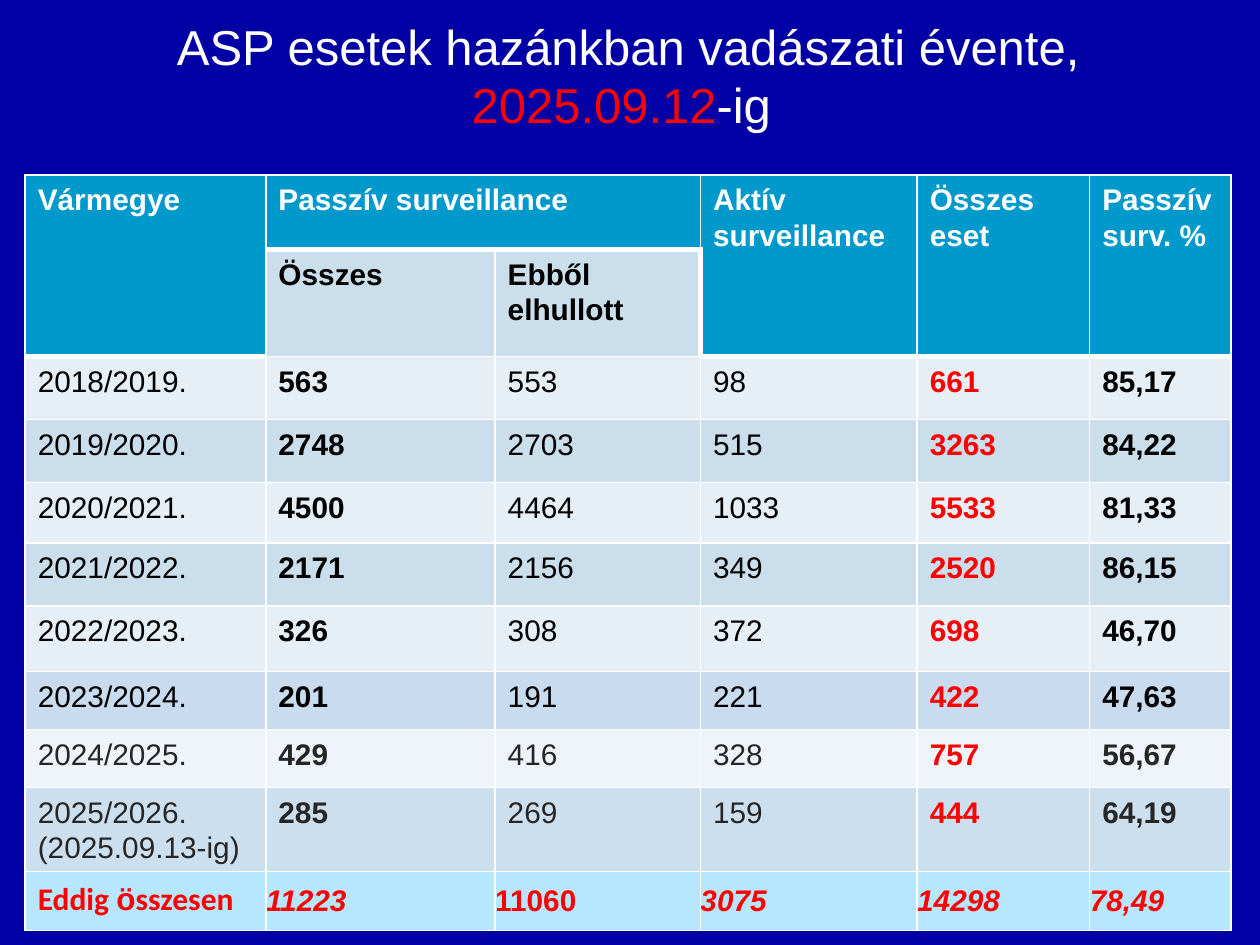
from dataclasses import dataclass

from lxml.etree import SubElement
from pptx import Presentation
from pptx.dml.color import RGBColor
from pptx.enum.text import MSO_ANCHOR, MSO_AUTO_SIZE, PP_ALIGN
from pptx.oxml.ns import qn
from pptx.util import Inches, Pt

WHITE, BLACK, RED, DARK = "FFFFFF", "000000", "FF0000", "262626"
HEAD, PALE, MID, TOTAL = "0099CC", "E7EFF6", "CBDEEC", "B7E7FF"
COL_WIDTHS = [1.91, 1.82, 1.63, 1.72, 1.37, 1.12]
ROW_HEIGHTS = [0.59, 0.85, 0.5, 0.5, 0.48, 0.5, 0.52, 0.46, 0.46, 0.46, 0.47]


@dataclass
class Header:
    text: str
    row: int
    col: int
    rows: int = 1
    cols: int = 1
    fill: str = HEAD
    color: str = WHITE
    thick: str = "B"


@dataclass
class Season:
    name: str
    values: list[str]
    fill: str
    color: str = BLACK


HEADERS = [
    Header("Vármegye", 0, 0, rows=2),
    Header("Passzív surveillance", 0, 1, cols=2),
    Header("Aktív surveillance", 0, 3, rows=2),
    Header("Összes eset", 0, 4, rows=2),
    Header("Passzív\nsurv. %", 0, 5, rows=2),
    Header("Összes", 1, 1, fill=MID, color=BLACK, thick="T"),
    Header("Ebből elhullott", 1, 2, fill=MID, color=BLACK, thick="TR"),
]
SEASONS = [
    Season("2018/2019.", ["563", "553", "98", "661", "85,17"], PALE),
    Season("2019/2020.", ["2748", "2703", "515", "3263", "84,22"], MID),
    Season("2020/2021.", ["4500", "4464", "1033", "5533", "81,33"], PALE),
    Season("2021/2022.", ["2171", "2156", "349", "2520", "86,15"], MID),
    Season("2022/2023.", ["326", "308", "372", "698", "46,70"], PALE),
    Season("2023/2024.", ["201", "191", "221", "422", "47,63"], "C9DBEF"),
    Season("2024/2025.", ["429", "416", "328", "757", "56,67"], "EEF4F9", DARK),
    Season("2025/2026. (2025.09.13-ig)", ["285", "269", "159", "444", "64,19"],
           "CCDFEE", DARK),
]
TOTALS = ["11223", "11060", "3075", "14298", "78,49"]


def rgb(value: str) -> RGBColor:
    return RGBColor.from_string(value)


def style_cell(cell, fill: str, thick: str = "") -> None:
    tc_pr = cell._tc.get_or_add_tcPr()
    for side in "LRTB":
        width = Pt(3 if side in thick else 1)
        ln = SubElement(tc_pr, qn(f"a:ln{side}"), w=str(width))
        SubElement(SubElement(ln, qn("a:solidFill")), qn("a:srgbClr"), val=WHITE)
    cell.fill.solid()
    cell.fill.fore_color.rgb = rgb(fill)


def write_cell(cell, text: str, color: str, bold: bool):
    p = cell.text_frame.paragraphs[0]
    p.text = text
    p.line_spacing, p.space_after = 1.07, Pt(8)
    p.font.name, p.font.size, p.font.bold = "Arial", Pt(17), bold
    p.font.color.rgb = rgb(color)
    return p


def add_title(s) -> None:
    sp = s.shapes.title
    sp.left, sp.top, sp.width, sp.height = map(Inches, (0.33, 0, 9.31, 1.19))
    tf = sp.text_frame
    tf.auto_size, tf.vertical_anchor = MSO_AUTO_SIZE.NONE, MSO_ANCHOR.MIDDLE
    p = tf.paragraphs[0]
    p.alignment = PP_ALIGN.CENTER
    p.font.name, p.font.size = "Arial", Pt(28)
    for text, color in (("ASP esetek hazánkban vadászati évente, ", WHITE),
                        ("2025.09.12", RED), ("-ig ", WHITE)):
        r = p.add_run()
        r.text = text
        r.font.color.rgb = rgb(color)


def add_header(table, h: Header) -> None:
    cell = table.cell(h.row, h.col)
    if h.rows * h.cols > 1:
        cell.merge(table.cell(h.row + h.rows - 1, h.col + h.cols - 1))
    style_cell(cell, h.fill, h.thick)
    write_cell(cell, h.text, h.color, True)


def add_season(table, row: int, season: Season) -> None:
    for col, text in enumerate([season.name, *season.values]):
        cell = table.cell(row, col)
        style_cell(cell, season.fill, "T" if row == 2 and col not in (1, 2) else "")
        write_cell(cell, text, RED if col == 4 else season.color, col in (1, 4, 5))


def add_totals(table, row: int) -> None:
    label = table.cell(row, 0)
    style_cell(label, TOTAL)
    p = write_cell(label, "", RED, True)
    p.font.size = Pt(18)
    for text, font in (("Eddig ", "Calibri"), ("ö", "Arial"), ("sszesen", "Calibri")):
        r = p.add_run()
        r.text, r.font.name = text, font
    for col, text in enumerate(TOTALS, 1):
        cell = table.cell(row, col)
        style_cell(cell, TOTAL)
        cell.vertical_anchor = MSO_ANCHOR.MIDDLE
        cell.margin_left = cell.margin_right = cell.margin_top = cell.margin_bottom = 0
        p = write_cell(cell, text, RED, True)
        p.line_spacing, p.space_after = 1.0, Pt(0)
        p.font.italic = col != 2


def add_case_table(s) -> None:
    frame = s.shapes.add_table(len(ROW_HEIGHTS), len(COL_WIDTHS), Inches(0.2),
                               Inches(1.39), Inches(9.57), Inches(sum(ROW_HEIGHTS)))
    table = frame.table
    table.first_row = table.horz_banding = False
    for column, width in zip(table.columns, COL_WIDTHS):
        column.width = Inches(width)
    for row, height in zip(table.rows, ROW_HEIGHTS):
        row.height = Inches(height)
    for header in HEADERS:
        add_header(table, header)
    for row, season in enumerate(SEASONS, 2):
        add_season(table, row, season)
    add_totals(table, len(ROW_HEIGHTS) - 1)


def main() -> None:
    prs = Presentation()
    prs.slide_width, prs.slide_height = Inches(10), Inches(7.5)
    s = prs.slides.add_slide(prs.slide_layouts[5])
    s.background.fill.solid()
    s.background.fill.fore_color.rgb = rgb("0000A4")
    add_title(s)
    add_case_table(s)
    prs.save("out.pptx")


if __name__ == "__main__":
    main()
